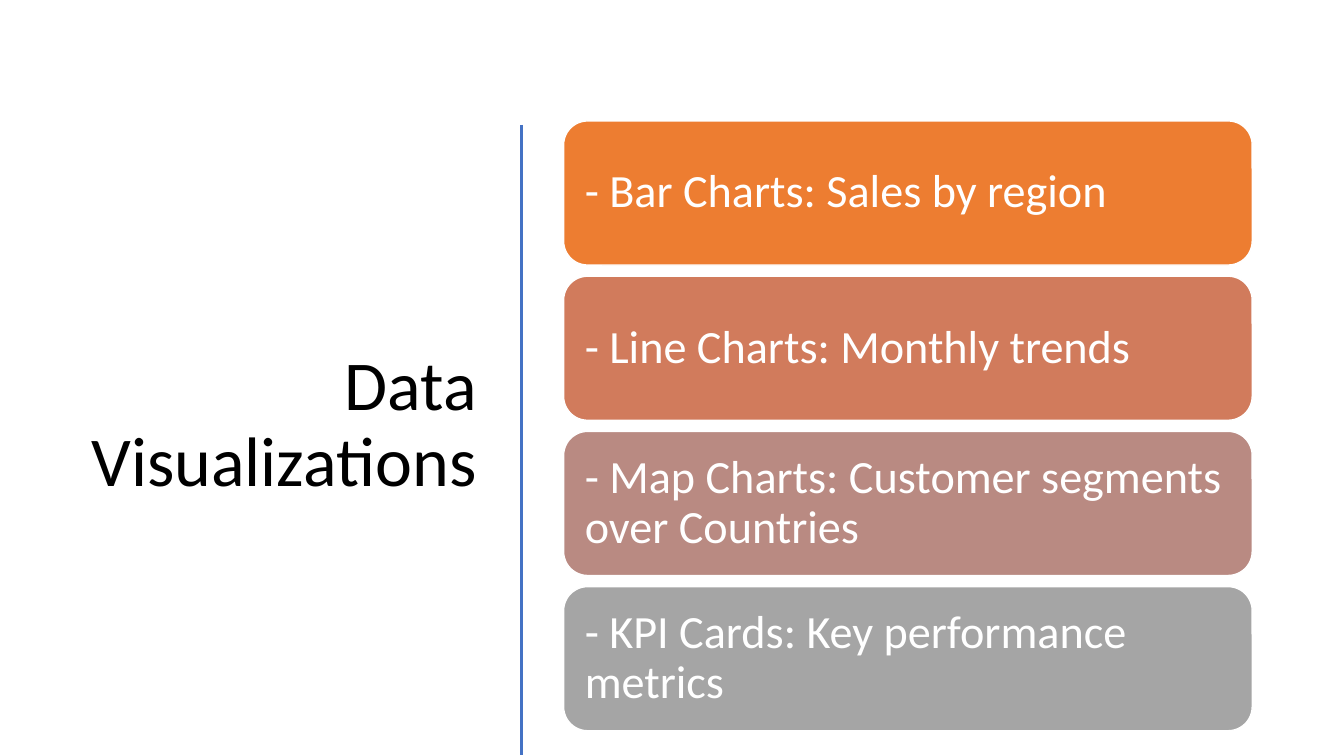
from lxml.etree import SubElement
from pptx import Presentation
from pptx.dml.color import RGBColor
from pptx.enum.shapes import MSO_CONNECTOR, MSO_SHAPE
from pptx.enum.text import MSO_ANCHOR, MSO_AUTO_SIZE, PP_ALIGN
from pptx.oxml.ns import qn
from pptx.util import Emu, Pt

# Content
TITLE = "Data Visualizations"
CARDS = [
    ("- Bar Charts: Sales by region", "ED7D31"),
    ("- Line Charts: Monthly trends", "D17B5C"),
    ("- Map Charts: Customer segments over Countries", "B98A82"),
    ("- KPI Cards: Key performance metrics", "A5A5A5"),
]

# Layout in px, 100 to the inch
SLIDE_SIZE = (1333, 750)
TITLE_BOX = (52, 117, 431, 611)
DIVIDER = (517, 124, 517, 749)
CARD_LEFT, CARD_TOP, CARD_WIDTH, CARD_HEIGHT = 559, 120, 683, 143
CARD_GAP = 11
CARD_INSET = 14

TITLE_STYLE = {"size": 50, "color": "000000", "align": PP_ALIGN.RIGHT, "after": 0}
CARD_STYLE = {"size": 33, "color": "FFFFFF", "align": PP_ALIGN.LEFT, "after": 12}


def px(value):
    return Emu(value * 9144)


def color(hex_string):
    return RGBColor.from_string(hex_string)


def set_attributes(target, values):
    for name, value in values.items():
        setattr(target, name, value)


def write_text(shape, text, style):
    frame = shape.text_frame
    frame.text = text
    set_attributes(frame, {
        "word_wrap": True,
        "auto_size": MSO_AUTO_SIZE.NONE,
        "vertical_anchor": MSO_ANCHOR.MIDDLE,
    })
    paragraph = frame.paragraphs[0]
    set_attributes(paragraph, {
        "alignment": style["align"],
        "line_spacing": 0.9,
        "space_before": Pt(0),
        "space_after": Pt(style["after"]),
    })
    font = paragraph.runs[0].font
    set_attributes(font, {"name": "Calibri", "size": Pt(style["size"])})
    font.color.rgb = color(style["color"])


def add_title(slide):
    title = slide.shapes.title
    set_attributes(title, dict(zip(("left", "top", "width", "height"), map(px, TITLE_BOX))))
    write_text(title, TITLE, TITLE_STYLE)


def add_divider(slide):
    divider = slide.shapes.add_connector(MSO_CONNECTOR.STRAIGHT, *map(px, DIVIDER))
    divider.line.color.rgb = color("4472C4")
    divider.line.width = Pt(2)
    SubElement(divider.element.spPr, qn("a:effectLst"))


def add_card(slide, index, text, fill):
    top = CARD_TOP + index * (CARD_HEIGHT + CARD_GAP)
    box = (CARD_LEFT, top, CARD_WIDTH, CARD_HEIGHT)
    card = slide.shapes.add_shape(MSO_SHAPE.ROUNDED_RECTANGLE, *map(px, box))
    card.shadow.inherit = False
    card.fill.solid()
    card.fill.fore_color.rgb = color(fill)
    card.line.color.rgb = color("FFFFFF")
    card.line.width = Pt(1)
    sides = ("margin_left", "margin_top", "margin_right", "margin_bottom")
    set_attributes(card.text_frame, dict.fromkeys(sides, px(CARD_INSET)))
    write_text(card, text, CARD_STYLE)


def main():
    presentation = Presentation()
    presentation.slide_width, presentation.slide_height = map(px, SLIDE_SIZE)
    slide = presentation.slides.add_slide(presentation.slide_layouts[5])

    # Title and divider on the left
    add_title(slide)
    add_divider(slide)

    # Stack of chart cards on the right
    for index, (text, fill) in enumerate(CARDS):
        add_card(slide, index, text, fill)

    presentation.save("out.pptx")


if __name__ == "__main__":
    main()
